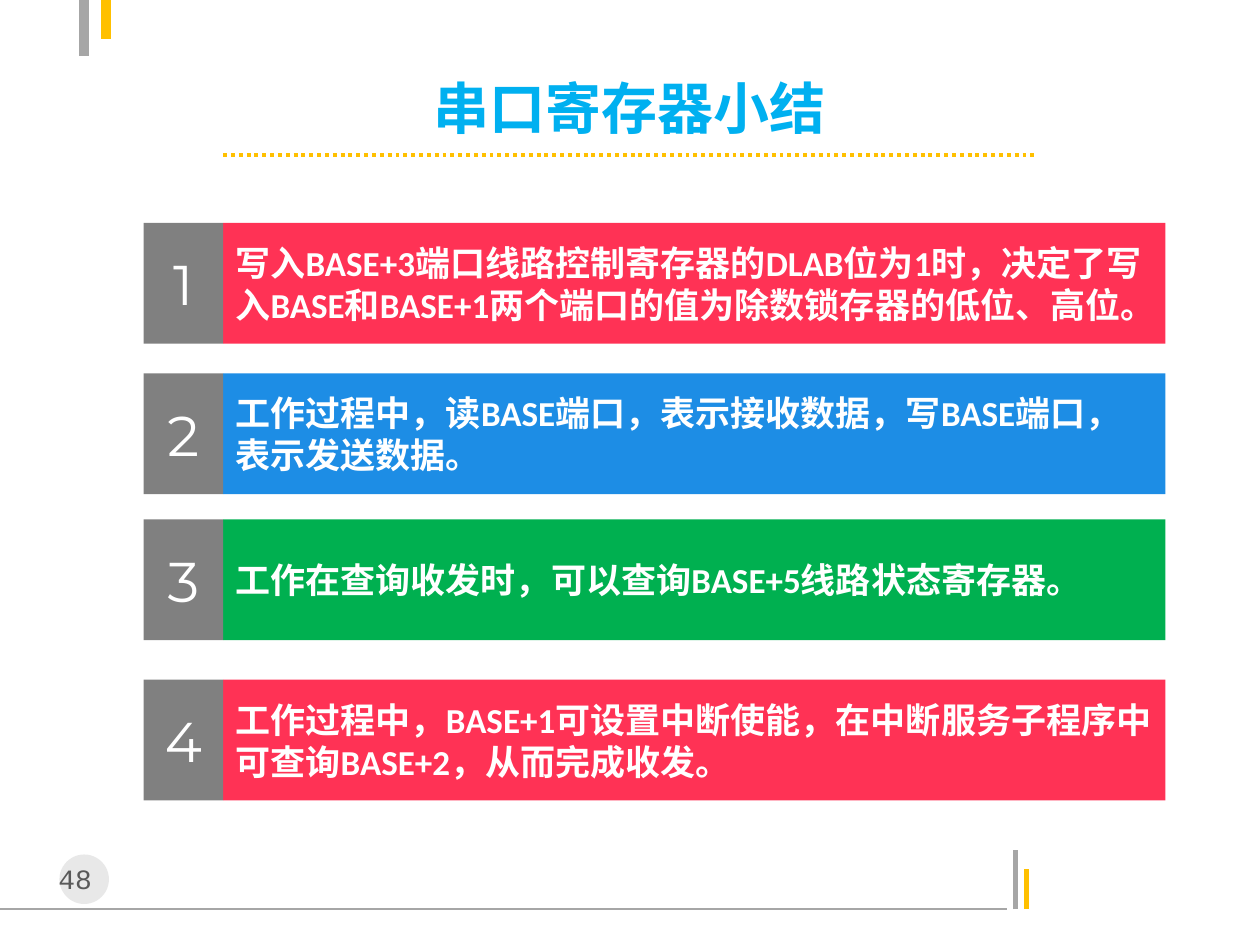
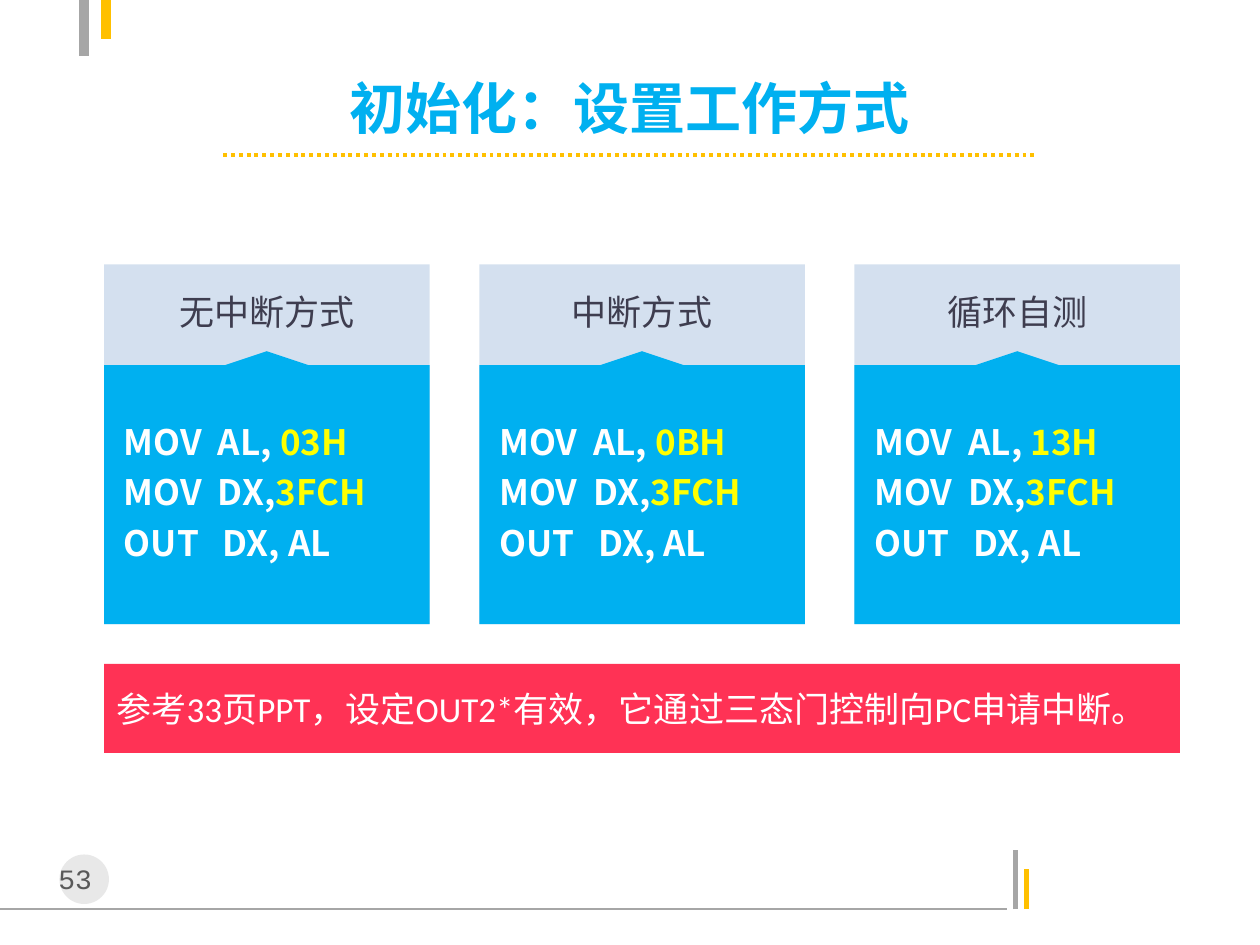
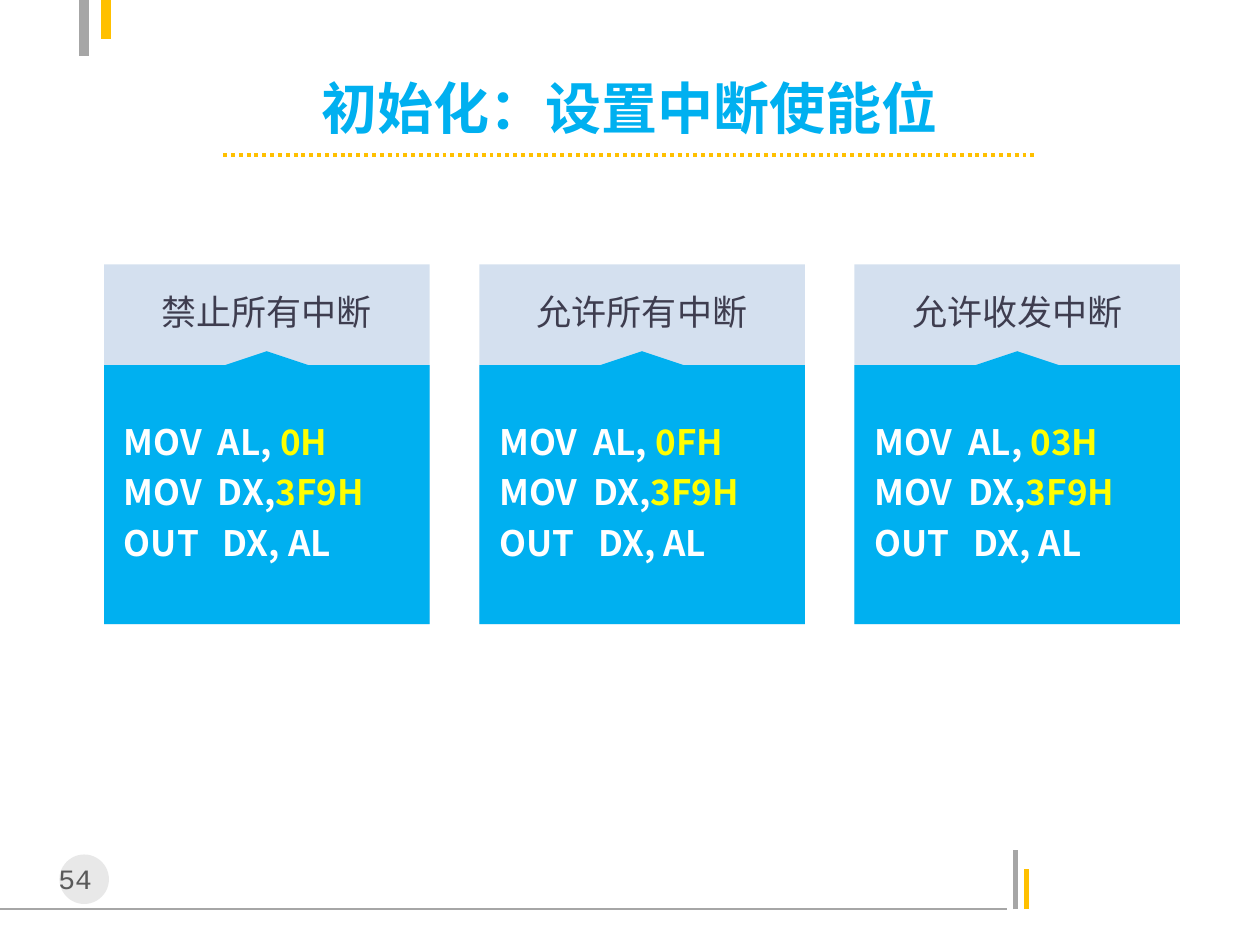
import pptx
import pptx.dml.color
import pptx.enum.dml
import pptx.enum.shapes
import pptx.enum.text
import pptx.oxml.ns
import pptx.util
from lxml import etree

Pt = pptx.util.Pt
qn = pptx.oxml.ns.qn
PP_ALIGN = pptx.enum.text.PP_ALIGN
MSO_ANCHOR = pptx.enum.text.MSO_ANCHOR
MSO_SHAPE = pptx.enum.shapes.MSO_SHAPE

WHITE, YELLOW, GRAY, GOLD = "FFFFFF", "FFFF00", "A6A6A6", "FFC000"
SKY, RED, BLUE, GREEN, DARK = "00B0F0", "FF3255", "1D8DE5", "00B050", "808080"
CJK = "Noto Sans CJK SC"


def rgb(color):
    return pptx.dml.color.RGBColor.from_string(color)


def paint(sp, color, alpha=None):
    sp.shadow.inherit = False
    sp.line.fill.background()
    sp.fill.solid()
    sp.fill.fore_color.rgb = rgb(color)
    if alpha:
        clr = sp._element.spPr.find(qn("a:solidFill"))[0]
        etree.SubElement(clr, qn("a:alpha")).set("val", str(alpha * 1000))


def add_block(slide, shape, box, color, alpha=None):
    sp = slide.shapes.add_shape(shape, *map(Pt, box))
    paint(sp, color, alpha)
    return sp


def add_line(slide, x1, y1, x2, y2, color, width):
    ln = slide.shapes.add_connector(
        pptx.enum.shapes.MSO_CONNECTOR.STRAIGHT, Pt(x1), Pt(y1), Pt(x2), Pt(y2))
    ln.line.color.rgb = rgb(color)
    ln.line.width = Pt(width)
    etree.SubElement(ln._element.spPr, qn("a:effectLst"))
    return ln


def style(p, size, color, font=CJK, bold=False, align=PP_ALIGN.LEFT):
    p.alignment = align
    p.font.size = Pt(size)
    p.font.bold = bold
    p.font.name = font
    p.font.color.rgb = rgb(color)
    rPr = p._p.get_or_add_pPr().get_or_add_defRPr()
    etree.SubElement(rPr, qn("a:ea")).set("typeface", CJK)


def write(sp, text, *args, anchor=MSO_ANCHOR.MIDDLE, **kwargs):
    tf = sp.text_frame
    tf.word_wrap = True
    tf.vertical_anchor = anchor
    tf.text = text
    style(tf.paragraphs[0], *args, **kwargs)


def add_label(slide, box, text, *args):
    sp = slide.shapes.add_textbox(*map(Pt, box))
    write(sp, text, *args, anchor=MSO_ANCHOR.TOP, align=PP_ALIGN.CENTER)


def add_frame(slide, number):
    add_line(slide, 0, 519.5, 575.5, 519.5, GRAY, 0.75)
    add_line(slide, 580.3, 519.5, 580.3, 485.6, GRAY, 3)
    add_line(slide, 586.6, 519.5, 586.6, 496.8, GOLD, 3)
    add_line(slide, 48, 0, 48, 32, GRAY, 6)
    add_line(slide, 60.5, 0, 60.5, 22.5, GOLD, 6)
    add_block(slide, MSO_SHAPE.OVAL, (34, 488.3, 28.3, 28.3), "BFBFBF", 35)
    add_label(slide, (17.5, 489, 51, 26.6), str(number), 16, "595959", "Courier New")


def add_title(slide, text):
    sp = slide.shapes.title
    sp.left, sp.top, sp.width, sp.height = map(Pt, (99, 43.2, 522, 36))
    write(sp, text, 32, SKY, bold=True, align=PP_ALIGN.CENTER)
    sp.text_frame.word_wrap = False
    sp.text_frame.auto_size = pptx.enum.text.MSO_AUTO_SIZE.NONE
    ln = add_line(slide, 127.5, 88.6, 592.5, 88.6, GOLD, 2.25)
    ln.line.dash_style = pptx.enum.dml.MSO_LINE.ROUND_DOT


def add_slide(prs, number, title):
    slide = prs.slides.add_slide(prs.slide_layouts[5])
    add_frame(slide, number)
    add_title(slide, title)
    return slide


def add_summary_row(slide, box, number, text, color):
    x, y, w, h = box
    badge_w = 45.5
    body = add_block(slide, MSO_SHAPE.RECTANGLE, (x + badge_w, y, w - badge_w, h), color)
    write(body, text, 20, WHITE, "Calibri", bold=True)
    badge = add_block(slide, MSO_SHAPE.RECTANGLE, (x, y, badge_w, h), DARK)
    write(badge, str(number), 32, WHITE, "Montserrat", align=PP_ALIGN.CENTER)


def add_callout(slide, box):
    x, y, w, h = box
    mid, half, peak = x + w / 2, 24, 8
    points = [(mid + half, y + peak), (x + w, y + peak), (x + w, y + h),
              (x, y + h), (x, y + peak), (mid - half, y + peak)]
    fb = slide.shapes.build_freeform(Pt(mid), Pt(y))
    fb.add_line_segments([(Pt(a), Pt(b)) for a, b in points])
    sp = fb.convert_to_shape()
    paint(sp, SKY)
    return sp


def add_code_card(slide, box, heading, value, port):
    x, y, w, h = box
    add_block(slide, MSO_SHAPE.RECTANGLE, box, "95B3D7", 40)
    sp = add_callout(slide, (x, y + 49.7, w, h - 49.7))
    tf = sp.text_frame
    tf.word_wrap = True
    tf.vertical_anchor = MSO_ANCHOR.MIDDLE
    tf.margin_left = tf.margin_right = Pt(11.34)
    code = [("MOV  AL, ", value), ("MOV  DX,", port), ("OUT   DX, AL", "")]
    for i, (instruction, operand) in enumerate(code):
        p = tf.add_paragraph() if i else tf.paragraphs[0]
        p.line_spacing = 1.2
        style(p, 20, WHITE, bold=True)
        p.add_run().text = instruction
        if operand:
            r = p.add_run()
            r.text = operand
            r.font.color.rgb = rgb(YELLOW)
    add_label(slide, (x, y + 11.5, w, 31.5), heading, 20, "3E3D4F")


def add_code_cards(slide, box, cards, port):
    x, y, w, h = box
    card_w = 186
    pitch = (w - card_w) / (len(cards) - 1)
    for i, (heading, value) in enumerate(cards):
        add_code_card(slide, (x + i * pitch, y, card_w, h), heading, value, port)


def main():
    prs = pptx.Presentation()
    prs.slide_width, prs.slide_height = Pt(720), Pt(540)

    slide = add_slide(prs, 48, "串口寄存器小结")
    rows = [
        (127.4, RED, "写入BASE+3端口线路控制寄存器的DLAB位为1时，决定了写入BASE和BASE+1两个端口的值为除数锁存器的低位、高位。"),
        (213.4, BLUE, "工作过程中，读BASE端口，表示接收数据，写BASE端口，表示发送数据。"),
        (296.8, GREEN, "工作在查询收发时，可以查询BASE+5线路状态寄存器。"),
        (388.4, RED, "工作过程中，BASE+1可设置中断使能，在中断服务子程序中可查询BASE+2，从而完成收发。"),
    ]
    for number, (top, color, text) in enumerate(rows, 1):
        add_summary_row(slide, (82, top, 584, 69), number, text, color)

    cards_box = (59.5, 151, 614.8, 205.7)
    slide = add_slide(prs, 53, "初始化：设置工作方式")
    add_code_cards(slide, cards_box, [
        ("无中断方式", "03H"), ("中断方式", "0BH"), ("循环自测", "13H")], "3FCH")
    note = add_block(slide, MSO_SHAPE.RECTANGLE, (59.5, 379.3, 614.8, 51), RED)
    write(note, "参考33页PPT，设定OUT2*有效，它通过三态门控制向PC申请中断。",
          20, WHITE, "Calibri")

    slide = add_slide(prs, 54, "初始化：设置中断使能位")
    add_code_cards(slide, cards_box, [
        ("禁止所有中断", "0H"), ("允许所有中断", "0FH"), ("允许收发中断", "03H")], "3F9H")

    prs.save("out.pptx")


if __name__ == "__main__":
    main()
